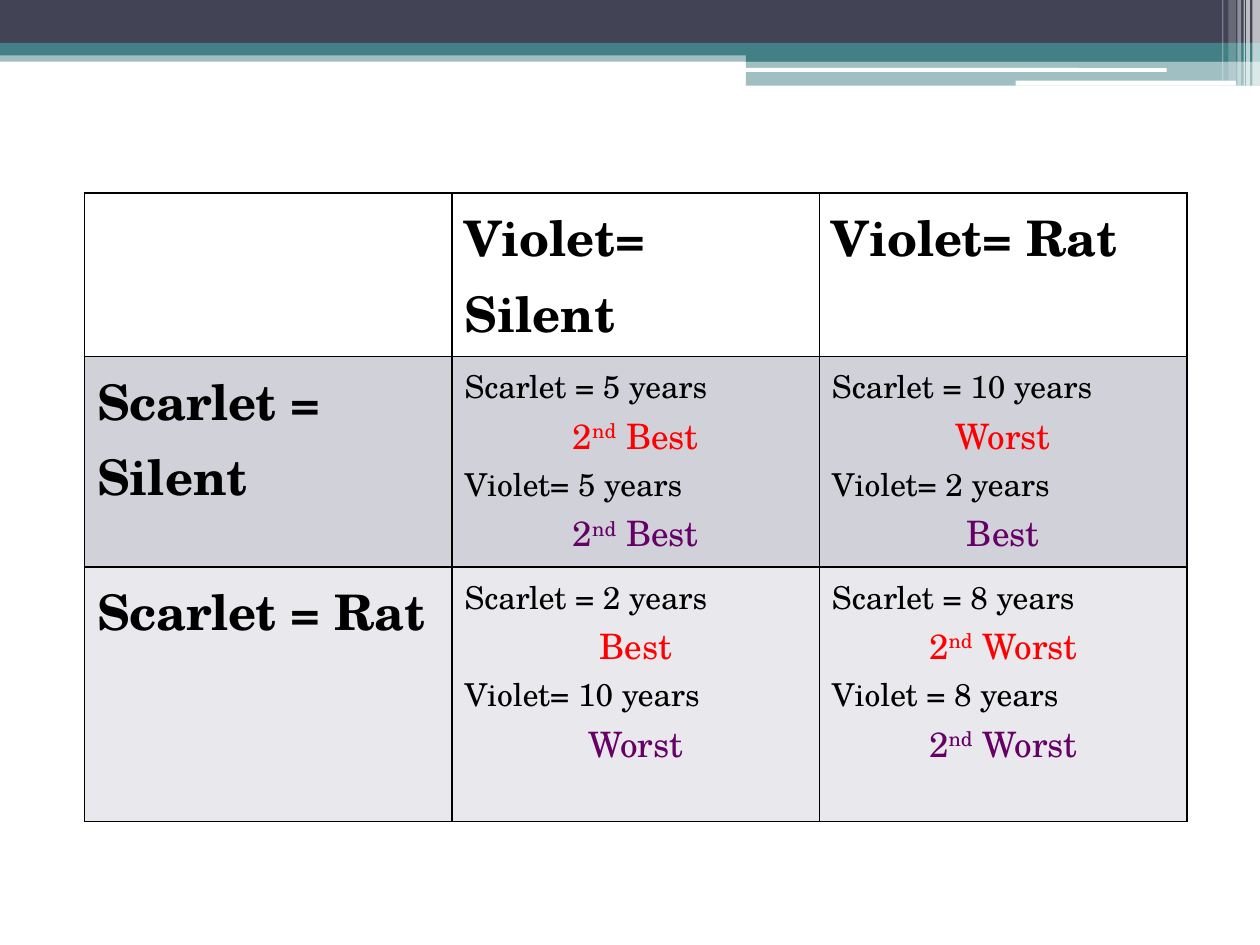
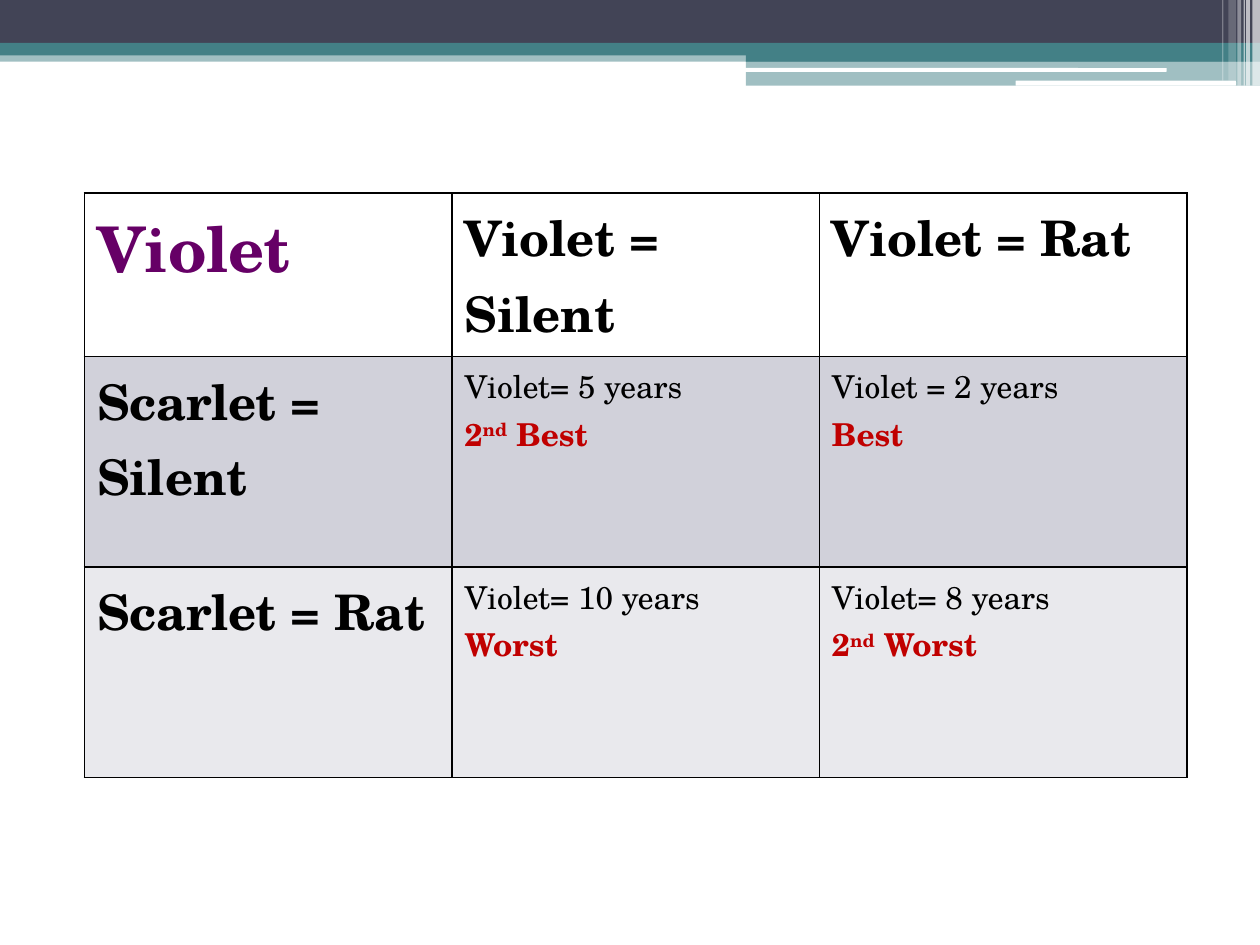
from lxml import etree
from pptx import Presentation
from pptx.dml.color import RGBColor
from pptx.enum.shapes import MSO_SHAPE
from pptx.enum.text import PP_ALIGN
from pptx.oxml.ns import qn
from pptx.util import Inches, Pt

RECT, ROUNDED = MSO_SHAPE.RECTANGLE, MSO_SHAPE.ROUNDED_RECTANGLE
LEFT, CENTER = PP_ALIGN.LEFT, PP_ALIGN.CENTER

FONT = "TeX Gyre Schola"
SLATE, TEAL, WHITE, BLACK = "424456", "438086", "FFFFFF", "000000"
RED, PURPLE, DARK_RED = "FF0000", "660066", "C00000"
ROW_FILLS = [WHITE, "D1D1DA", "E9E9ED"]

prs = Presentation()
prs.slide_width, prs.slide_height = Inches(10), Inches(7.5)
GRID = prs.slide_width / 100  # the slide is a grid of 100 columns by 75 rows


def units(count):
    """Turn a number of grid columns or rows into a length."""
    return round(count * GRID)


def paint(fill, color, opacity=100):
    """Make a fill solid in a hex colour, with opacity in percent."""
    fill.solid()
    fill.fore_color.rgb = RGBColor.from_string(color)
    if opacity < 100:
        solid_color = fill._xPr.find(".//" + qn("a:srgbClr"))
        etree.SubElement(solid_color, qn("a:alpha")).set("val", str(opacity * 1000))


layout = prs.slide_layouts[6]
slides = [prs.slides.add_slide(layout) for _ in range(2)]

# Header bands: left, top, width, height, outline, colour, opacity
bands = [
    (0, 4, 100, 0.9, RECT, TEAL, 50),
    (0, 0, 100, 3.4, RECT, SLATE, 100),
    (0, 3.4, 100, 1, RECT, TEAL, 100),
    (59.2, 3.9, 40.8, 1, RECT, TEAL, 100),
    (59.2, 4.8, 40.8, 2, RECT, TEAL, 50),
    (59.1, 5.4, 33.5, 0.3, ROUNDED, WHITE, 100),
    (80.6, 6.4, 17.5, 0.4, ROUNDED, WHITE, 100),
]
# Pale stripes at the right end: left, width, height, opacity
stripes = [(99.4, 0.6, 6.8, 65), (98.9, 0.3, 6.8, 65), (98.7, 0.1, 6.8, 60),
           (98.2, 0.3, 6.8, 40), (97.5, 0.6, 6.4, 20), (97, 0.1, 6.4, 30)]
bands += [(left, 0, width, height, RECT, WHITE, opacity)
          for left, width, height, opacity in stripes]

for left, top, width, height, outline, color, opacity in bands:
    band = slides[0].shapes.add_shape(
        outline, units(left), units(top), units(width), units(height))
    band.shadow.inherit = False
    band.line.fill.background()
    paint(band.fill, color, opacity)
    # The layout holds the band, so every slide shows it
    layout.shapes.element.append(band.element)

# Text styles: size, bold, colour, alignment
HEADING = (28, True, BLACK, LEFT)
PLAYER = (36, True, PURPLE, LEFT)
YEARS = (18, False, BLACK, LEFT)
SCARLET_RANK = (20, False, RED, CENTER)
VIOLET_RANK = (20, False, PURPLE, CENTER)
RANK = (18, True, DARK_RED, LEFT)

# Each cell has one style per paragraph; ^ encloses a superscript
BOTH = [YEARS, SCARLET_RANK, YEARS, VIOLET_RANK]
ONE = [YEARS, RANK]
both_players = [
    [([], []), ([HEADING], ["Violet= Silent"]), ([HEADING], ["Violet= Rat"])],
    [([HEADING], ["Scarlet = Silent"]),
     (BOTH, ["Scarlet = 5 years", "2^nd^ Best", "Violet= 5 years", "2^nd^ Best"]),
     (BOTH, ["Scarlet = 10 years", "Worst", "Violet= 2 years", "Best"])],
    [([HEADING], ["Scarlet = Rat"]),
     (BOTH, ["Scarlet = 2 years", "Best", "Violet= 10 years", "Worst"]),
     (BOTH, ["Scarlet = 8 years", "2^nd^ Worst", "Violet = 8 years", "2^nd^ Worst"])],
]
violet_only = [
    [([PLAYER], ["Violet"]), ([HEADING], ["Violet = Silent"]),
     ([HEADING], ["Violet = Rat"])],
    [([HEADING], ["Scarlet = Silent"]),
     (ONE, ["Violet= 5 years", "2^nd^ Best"]),
     (ONE, ["Violet = 2 years", "Best"])],
    [([HEADING], ["Scarlet = Rat"]),
     (ONE, ["Violet= 10 years", "Worst"]),
     (ONE, ["Violet= 8 years", "2^nd^ Worst"])],
]
payoffs = [(both_players, [13, 16.7, 20.2]), (violet_only, [13, 16.7, 16.7])]

for slide, (outcomes, row_heights) in zip(slides, payoffs):
    matrix = slide.shapes.add_table(
        3, 3, units(6.7), units(15.3), units(87.5), units(sum(row_heights))).table
    for row, height in zip(matrix.rows, row_heights):
        row.height = units(height)

    for row_index, row_outcomes in enumerate(outcomes):
        for column_index, (styles, lines) in enumerate(row_outcomes):
            cell = matrix.cell(row_index, column_index)
            paint(cell.fill, ROW_FILLS[row_index])
            properties = cell._tc.get_or_add_tcPr()
            for position, side in enumerate(["a:lnL", "a:lnR", "a:lnT", "a:lnB"]):
                border = etree.Element(qn(side), w=str(Pt(1)))
                border_fill = etree.SubElement(border, qn("a:solidFill"))
                etree.SubElement(border_fill, qn("a:srgbClr"), val=BLACK)
                properties.insert(position, border)

            for line_index, (style, line) in enumerate(zip(styles, lines)):
                size, bold, color, alignment = style
                paragraph = (cell.text_frame.add_paragraph() if line_index
                             else cell.text_frame.paragraphs[0])
                paragraph.alignment = alignment
                for part_index, part in enumerate(line.split("^")):
                    run = paragraph.add_run()
                    run.text = part
                    run.font.name = FONT
                    run.font.size = Pt(size)
                    run.font.bold = bold
                    paint(run.font.fill, color)
                    if part_index % 2:
                        run.font._element.set("baseline", "30000")

prs.save("out.pptx")
